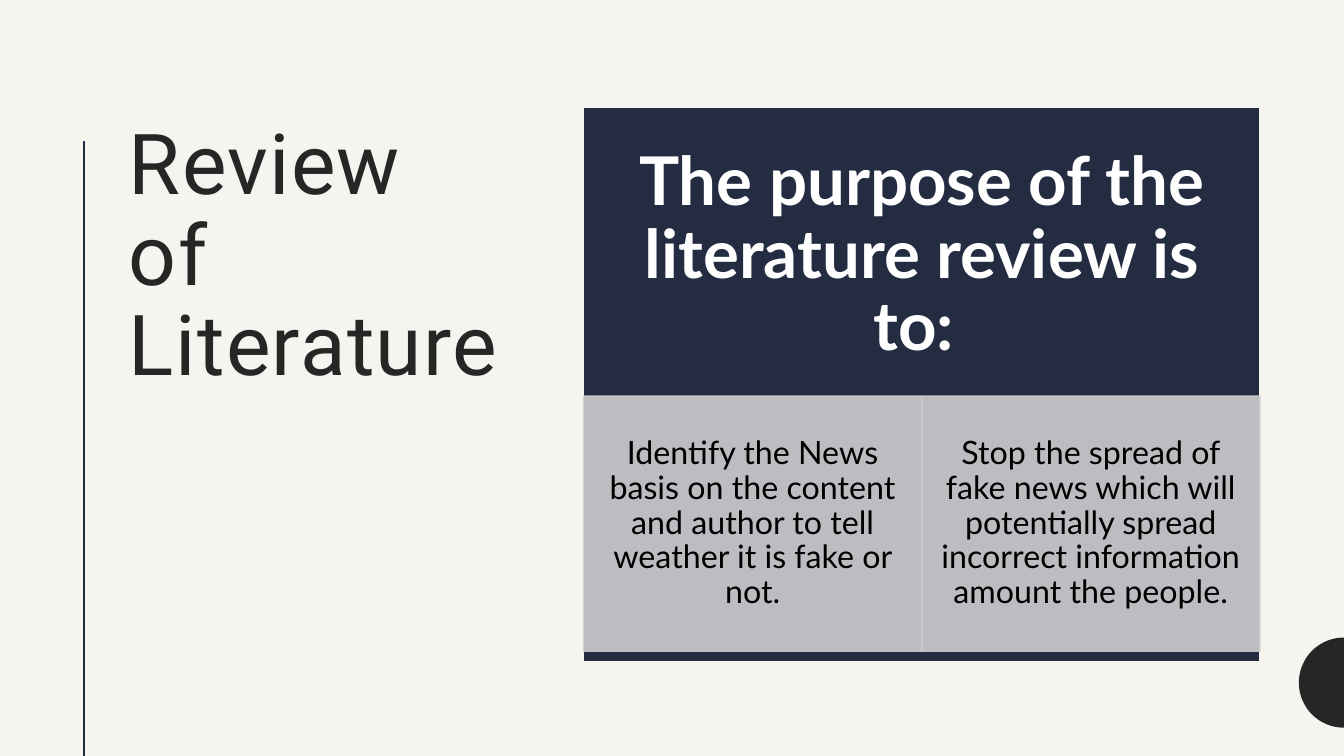
"""Build the Review of Literature slide."""
import math
from dataclasses import dataclass

from lxml import etree
from pptx import Presentation
from pptx import util as u
from pptx.dml import color
from pptx.enum import shapes, text
from pptx.oxml import ns

COLORS = {
    "cream": "F6F4EF",
    "navy": "232C41",
    "charcoal": "262626",
    "grey": "CDCDCF",
    "white": "FFFFFF",
    "black": "000000",
}
SLIDE_WIDTH, SLIDE_HEIGHT = 960, 540
PANEL_LEFT, PANEL_TOP, PANEL_WIDTH, PANEL_HEIGHT = 416.9, 76.3, 483.1, 396.7
CARD_TOP, CARD_HEIGHT = 283, 182.2


@dataclass(frozen=True)
class Box:
    left: float
    top: float
    width: float
    height: float

    def lengths(self) -> list:
        return [u.Pt(value) for value in (self.left, self.top, self.width, self.height)]


def rgb(name: str) -> color.RGBColor:
    return color.RGBColor.from_string(COLORS[name])


def set_alpha(fill_owner, percent: int) -> None:
    for swatch in fill_owner.iter(ns.qn("a:srgbClr")):
        alpha = etree.SubElement(swatch, ns.qn("a:alpha"))
        alpha.set("val", str(percent * 1000))


def write_text(shape, wording: str, *, size: float, font: str, ink: str,
               bold: bool = False, centred: bool = False, spacing: float = 0,
               inset: tuple = (7.2, 3.6)) -> None:
    frame = shape.text_frame
    frame.word_wrap = True
    frame.auto_size = text.MSO_AUTO_SIZE.NONE
    frame.margin_left = frame.margin_right = u.Pt(inset[0])
    frame.margin_top = frame.margin_bottom = u.Pt(inset[1])
    frame.vertical_anchor = text.MSO_ANCHOR.MIDDLE if centred else text.MSO_ANCHOR.TOP
    paragraph = frame.paragraphs[0]
    paragraph.alignment = text.PP_ALIGN.CENTER if centred else text.PP_ALIGN.LEFT
    paragraph.line_spacing = 0.9
    run = paragraph.add_run()
    run.text = wording
    run.font.size = u.Pt(size)
    run.font.name = font
    run.font.bold = bold
    run.font.color.rgb = rgb(ink)
    if spacing:
        run.font._element.set("spc", str(round(spacing * 100)))


def add_rectangle(slide, box: Box, fill: str, line: str, opacity: int = 100):
    shape = slide.shapes.add_shape(shapes.MSO_SHAPE.RECTANGLE, *box.lengths())
    shape.shadow.inherit = False
    shape.fill.solid()
    shape.fill.fore_color.rgb = rgb(fill)
    shape.line.color.rgb = rgb(line)
    shape.line.width = u.Pt(1)
    if opacity < 100:
        set_alpha(shape._element.spPr, opacity)
    return shape


def add_rule(slide, left: float, top: float, bottom: float) -> None:
    rule = slide.shapes.add_connector(
        shapes.MSO_CONNECTOR.STRAIGHT, u.Pt(left), u.Pt(top), u.Pt(left), u.Pt(bottom))
    rule.line.color.rgb = rgb("navy")
    rule.line.width = u.Pt(1.5)
    etree.SubElement(rule._element.spPr, ns.qn("a:effectLst"))


def add_half_disc(slide, centre_y: float, radius: float, steps: int = 52) -> None:
    angles = [math.pi * step / steps for step in range(steps + 1)]
    points = [(u.Pt(SLIDE_WIDTH - radius * math.sin(angle)),
               u.Pt(centre_y + radius * math.cos(angle))) for angle in angles]
    builder = slide.shapes.build_freeform(*points[0])
    builder.add_line_segments(points[1:], close=True)
    disc = builder.convert_to_shape()
    disc.shadow.inherit = False
    disc.fill.solid()
    disc.fill.fore_color.rgb = rgb("charcoal")
    disc.line.fill.background()


def main() -> None:
    presentation = Presentation()
    presentation.slide_width = u.Pt(SLIDE_WIDTH)
    presentation.slide_height = u.Pt(SLIDE_HEIGHT)
    slide = presentation.slides.add_slide(presentation.slide_layouts[6])
    slide.background.fill.solid()
    slide.background.fill.fore_color.rgb = rgb("cream")

    title = slide.shapes.add_textbox(*Box(85, 83.5, 281.5, 378.7).lengths())
    write_text(title, "Review of Literature", size=60, font="Roboto",
               ink="charcoal", spacing=1)
    add_rule(slide, 59.8, 100.8, SLIDE_HEIGHT)
    add_half_disc(slide, 487.6, 32.2)

    add_rectangle(slide, Box(PANEL_LEFT, PANEL_TOP, PANEL_WIDTH, PANEL_HEIGHT),
                  "navy", "cream")
    heading = slide.shapes.add_textbox(
        *Box(PANEL_LEFT, PANEL_TOP, PANEL_WIDTH, 213.8).lengths())
    write_text(heading, "The purpose of the literature review is to: ", size=48,
               font="Lato", ink="white", bold=True, centred=True, inset=(26.6, 26.6))

    purposes = (
        "Identify the News basis on the content and author to tell weather it is fake or not.",
        "Stop the spread of fake news which will potentially spread incorrect information "
        "amount the people.",
    )
    card_width = PANEL_WIDTH / len(purposes)
    for index, purpose in enumerate(purposes):
        box = Box(PANEL_LEFT + index * card_width, CARD_TOP, card_width, CARD_HEIGHT)
        card = add_rectangle(slide, box, "grey", "grey", opacity=90)
        write_text(card, purpose, size=23, font="Lato", ink="black",
                   centred=True, inset=(13, 2.2))

    presentation.save("out.pptx")


if __name__ == "__main__":
    main()
